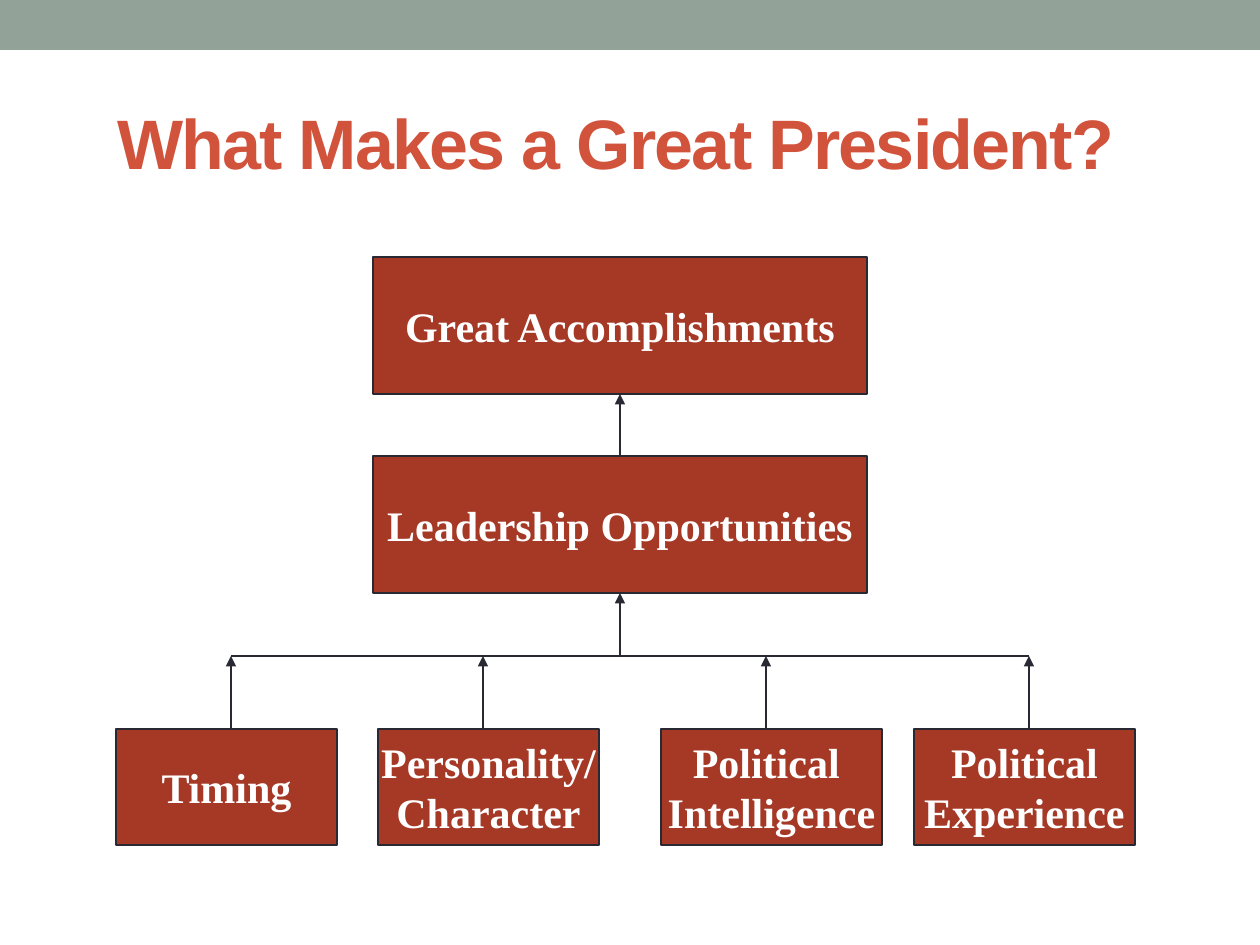
from lxml.etree import SubElement
from pptx import Presentation
from pptx.dml.color import RGBColor
from pptx.enum.shapes import MSO_CONNECTOR, MSO_SHAPE
from pptx.enum.text import MSO_ANCHOR, PP_ALIGN
from pptx.oxml.ns import qn
from pptx.util import Pt

TITLE = "What Makes a Great President?"
OUTCOMES = [("Great Accomplishments", 257), ("Leadership Opportunities", 456)]  # text, top
# text lines, box left, arrow x
FACTORS = [
    (["Timing"], 116, 231),
    (["Personality/", "Character"], 378, 483),
    (["Political ", "Intelligence"], 661, 766),
    (["Political", "Experience"], 914, 1029),
]
OUTCOME_LEFT, OUTCOME_W, OUTCOME_H = 373, 494, 137
FACTOR_TOP, FACTOR_W, FACTOR_H = 729, 221, 116
BUS_Y = 656
GREEN, RED, INK, ORANGE, WHITE = "93A299", "A53926", "292934", "D2533C", "FFFFFF"
TOP, BOTTOM = 0, 2


def px(value):
    return round(value * 914400 / 126)


def color(value):
    return RGBColor.from_string(value)


def write(shape, lines, *, font, size, ink, align, wrap, spacing=None):
    frame = shape.text_frame
    frame.word_wrap = wrap
    frame.vertical_anchor = MSO_ANCHOR.MIDDLE
    for i, line in enumerate(lines):
        paragraph = frame.add_paragraph() if i else frame.paragraphs[0]
        paragraph.alignment = align
        run = paragraph.add_run()
        run.text = line
        run.font.name, run.font.size, run.font.bold = font, Pt(size), True
        run.font.color.rgb = color(ink)
        if spacing:
            run._r.get_or_add_rPr().set("spc", str(spacing))


def add_rect(left, top, width, height, fill):
    rect = slide.shapes.add_shape(
        MSO_SHAPE.RECTANGLE, px(left), px(top), px(width), px(height))
    rect.shadow.inherit = False
    rect.fill.solid()
    rect.fill.fore_color.rgb = color(fill)
    rect.line.fill.background()
    return rect


def add_box(lines, *bounds):
    box = add_rect(*bounds, RED)
    box.line.color.rgb = color(INK)
    box.line.width = Pt(1)
    write(box, lines, font="Times New Roman", size=24, ink=WHITE,
          align=PP_ALIGN.CENTER, wrap=False)
    return box


def add_line(x1, y1, x2, y2, arrow=True):
    line = slide.shapes.add_connector(
        MSO_CONNECTOR.STRAIGHT, px(x1), px(y1), px(x2), px(y2))
    line.line.color.rgb = color(INK)
    line.line.width = Pt(1)
    if arrow:
        SubElement(line.line._get_or_add_ln(), qn("a:tailEnd"), type="triangle")
    SubElement(line._element.spPr, qn("a:effectLst"))
    return line


deck = Presentation()
deck.slide_width, deck.slide_height = px(1260), px(945)
slide = deck.slides.add_slide(deck.slide_layouts[6])

add_rect(0, 0, 1260, 50, GREEN)
accomplishments, opportunities = [
    add_box([text], OUTCOME_LEFT, top, OUTCOME_W, OUTCOME_H) for text, top in OUTCOMES]
for lines, left, _ in FACTORS:
    add_box(lines, left, FACTOR_TOP, FACTOR_W, FACTOR_H)

arrow_xs = [x for _, _, x in FACTORS]
add_line(arrow_xs[0], BUS_Y, arrow_xs[-1], BUS_Y, arrow=False)
for x in arrow_xs:
    add_line(x, FACTOR_TOP, x, BUS_Y)

center = OUTCOME_LEFT + OUTCOME_W // 2
upper_top, lower_top = [top for _, top in OUTCOMES]
to_opportunities = add_line(center, BUS_Y, center, lower_top + OUTCOME_H)
to_opportunities.end_connect(opportunities, BOTTOM)
to_accomplishments = add_line(center, lower_top, center, upper_top + OUTCOME_H)
to_accomplishments.begin_connect(opportunities, TOP)
to_accomplishments.end_connect(accomplishments, BOTTOM)

title = slide.shapes.add_textbox(px(105), px(73), px(1071), px(136))
write(title, [TITLE], font="Arial", size=40, ink=ORANGE,
      align=PP_ALIGN.LEFT, wrap=True, spacing=-100)

deck.save("out.pptx")
